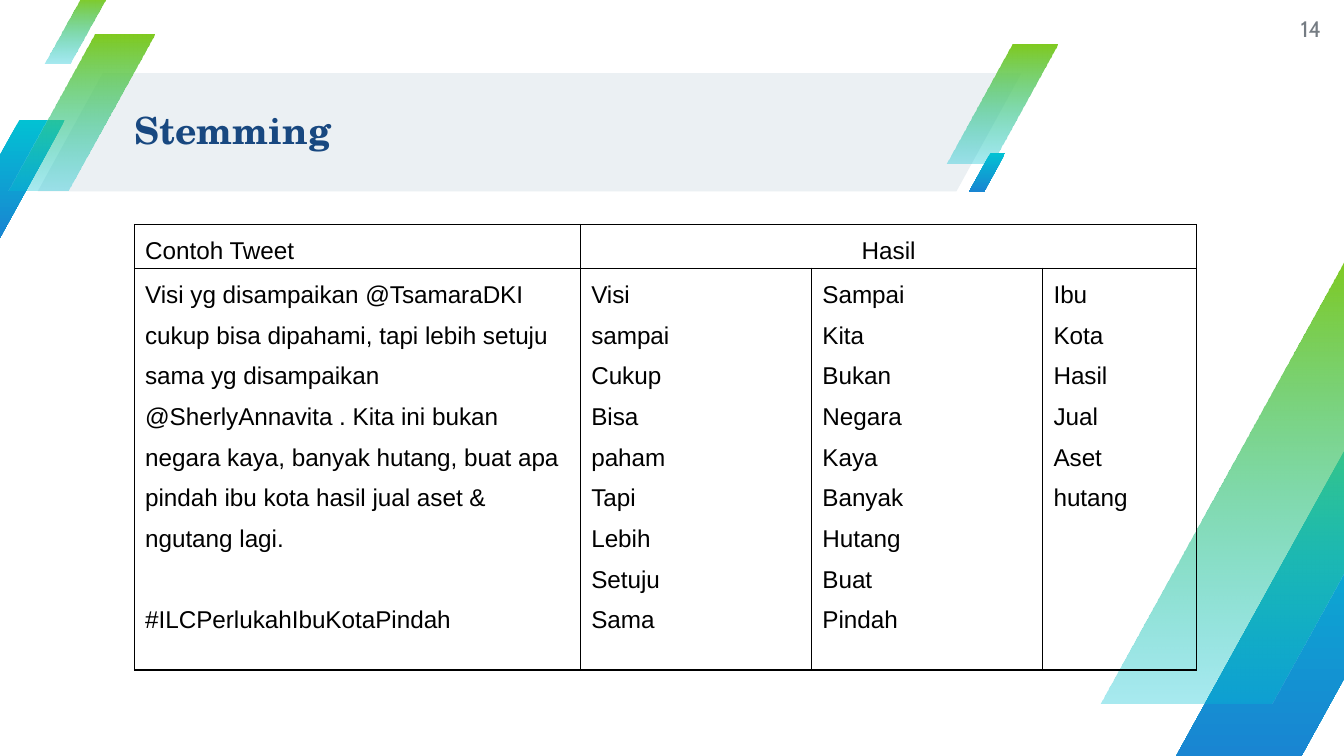
from lxml.etree import SubElement
from pptx import Presentation
from pptx.dml.color import RGBColor
from pptx.enum.shapes import MSO_SHAPE as Preset
from pptx.enum.text import MSO_ANCHOR as Anchor, PP_ALIGN as Align
from pptx.oxml.ns import qn
from pptx.util import Inches, Pt

LIME = RGBColor(0x7F, 0xCA, 0x20)
TURQUOISE = RGBColor(0x02, 0xC1, 0xD3)
BLUE = RGBColor(0x19, 0x85, 0xD2)
PALE = RGBColor(0xEB, 0xF0, 0xF3)
NAVY = RGBColor(0x18, 0x48, 0x80)
GREY = RGBColor(0x75, 0x7C, 0x83)
BLACK = RGBColor(0, 0, 0)

HEADING = "Stemming"
PAGE = "14"
HEADERS = ["Contoh Tweet", "Hasil"]
TWEET = [
    "Visi yg disampaikan @TsamaraDKI cukup bisa dipahami, tapi lebih setuju "
    "sama yg disampaikan @SherlyAnnavita . Kita ini bukan negara kaya, banyak "
    "hutang, buat apa pindah ibu kota hasil jual aset & ngutang lagi.",
    "#ILCPerlukahIbuKotaPindah",
]
STEMS = [
    ["Visi", "sampai", "Cukup", "Bisa", "paham", "Tapi", "Lebih", "Setuju", "Sama"],
    ["Sampai", "Kita", "Bukan", "Negara", "Kaya", "Banyak", "Hutang", "Buat", "Pindah"],
    ["Ibu", "Kota", "Hasil", "Jual", "Aset", "hutang"],
]

SEA = (TURQUOISE, BLUE, 100)
LEAF = (LIME, TURQUOISE, 34)
SLANT = 0.59
SLANT_RATIO = 1.07
SLANTS = [
    (-3.4, 8.9, 8.25, SEA),
    (70.45, 3.35, 8.25, LEAF),
    (0.6, 2.55, 10.9, LEAF),
    (3.3, -0.2, 4.6, LEAF),
    (72.1, 11.4, 2.7, SEA),
    (87.5, 32, 22.7, SEA),
    (81.9, 19.2, 31, LEAF),
]
BANNER = (2.8, 5.45, 73.2, 8.8)
HEADING_AREA = (10, 5.4, 65.9, 8.9)
PAGE_AREA = (93.6, 0, 4.7, 4.3)
TABLE_AREA = (10, 16.7, 79.05, 33)
COLUMNS = [33.2, 17.2, 17.2, 11.45]
ROWS = [3.1, 29.9]
TABLE_SIZE = 13
BLANK_LINE = Pt(21.8)

deck = Presentation()
deck.slide_width = Inches(10)
deck.slide_height = deck.slide_width * 9 // 16
slide = deck.slides.add_slide(deck.slide_layouts[6])


def share(percent):
    return round(deck.slide_width * percent / 100)


def place(area):
    return [share(percent) for percent in area]


def parallelogram(area, slant):
    shape = slide.shapes.add_shape(Preset.PARALLELOGRAM, *place(area))
    shape.adjustments[0] = slant
    shape.shadow.inherit = False
    shape.line.fill.background()
    return shape


def fade(shape, start, end, opacity):
    shape.fill.gradient()
    shape.fill.gradient_angle = 270
    for stop, position, color in zip(shape.fill.gradient_stops, (0, 1), (start, end)):
        stop.position = position
        stop.color.rgb = color
    if opacity < 100:
        last = list(shape._element.spPr.iter(qn("a:srgbClr")))[-1]
        SubElement(last, qn("a:alpha"), val=str(opacity * 1000))


def write(paragraph, words, font, size, color, bold=False, align=Align.LEFT, spacing=1.0):
    paragraph.alignment = align
    paragraph.line_spacing = spacing
    run = paragraph.add_run()
    run.text = words
    run.font.name, run.font.size, run.font.bold = font, Pt(size), bold
    run.font.color.rgb = color


def label(area, words, *style, **layout):
    frame = slide.shapes.add_textbox(*place(area)).text_frame
    frame.word_wrap = True
    frame.vertical_anchor = Anchor.MIDDLE
    frame.margin_left = frame.margin_right = frame.margin_top = frame.margin_bottom = 0
    write(frame.paragraphs[0], words, *style, **layout)


def outline(cell):
    properties = cell._tc.get_or_add_tcPr()
    for side in ("lnL", "lnR", "lnT", "lnB"):
        border = SubElement(properties, qn(f"a:{side}"), w=str(Pt(0.75)))
        SubElement(SubElement(border, qn("a:solidFill")), qn("a:srgbClr"), val=str(BLACK))
    cell.fill.background()


def fill_cell(cell, lines, align=Align.LEFT):
    frame = cell.text_frame
    for index, words in enumerate(lines):
        paragraph = frame.add_paragraph() if index else frame.paragraphs[0]
        write(paragraph, words, "Arial", TABLE_SIZE, BLACK, align=align, spacing=1.5)


banner = parallelogram(BANNER, 0.55)
banner.fill.solid()
banner.fill.fore_color.rgb = PALE
for left, top, width, colors in SLANTS:
    fade(parallelogram((left, top, width, width * SLANT_RATIO), SLANT), *colors)

label(PAGE_AREA, PAGE, "Cabin", 12, GREY, align=Align.RIGHT)
label(HEADING_AREA, HEADING, "TeX Gyre Schola", 20, NAVY, bold=True, spacing=0.9)

table = slide.shapes.add_table(len(ROWS), len(COLUMNS), *place(TABLE_AREA)).table
table.first_row = table.horz_banding = False
for column, width in zip(table.columns, COLUMNS):
    column.width = share(width)
for row, height in zip(table.rows, ROWS):
    row.height = share(height)
for cell in table.iter_cells():
    cell.margin_left = cell.margin_right = Inches(0.08)
    cell.margin_top = cell.margin_bottom = 0
    outline(cell)

table.cell(0, 1).merge(table.cell(0, 3))
fill_cell(table.cell(0, 0), HEADERS[:1])
fill_cell(table.cell(0, 1), HEADERS[1:], Align.CENTER)
for cell in table.iter_cells():
    if cell.is_spanned:
        ending = cell.text_frame.paragraphs[0]._p
        SubElement(ending, qn("a:endParaRPr"), sz=str(TABLE_SIZE * 100))
for index, lines in enumerate([TWEET, *STEMS]):
    fill_cell(table.cell(1, index), lines)
table.cell(1, 0).text_frame.paragraphs[1].space_before = BLANK_LINE

deck.save("out.pptx")
